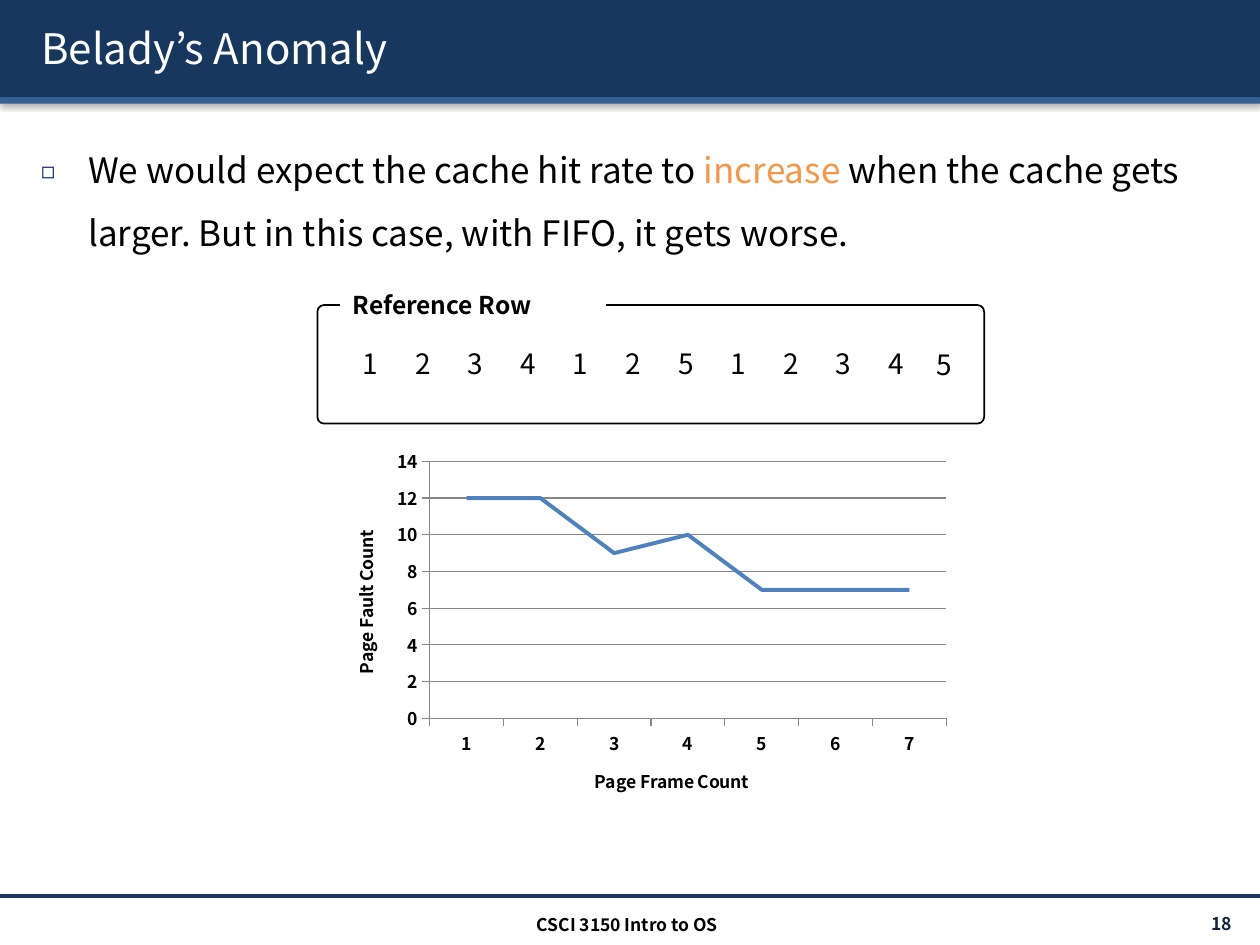
import pptx
import pptx.chart.data
import pptx.dml.color
import pptx.enum.chart
import pptx.enum.shapes
import pptx.enum.text
import pptx.oxml
import pptx.util
from pptx.util import Cm

FONT = "Noto Sans CJK KR"
NAVY, BLUE, BLACK, WHITE = "17375E", "376092", "000000", "FFFFFF"
ALIGN = pptx.enum.text.PP_ALIGN
ANCHOR = pptx.enum.text.MSO_ANCHOR
SHAPE = pptx.enum.shapes.MSO_SHAPE
DRAWING = 'xmlns:a="http://schemas.openxmlformats.org/drawingml/2006/main"'
CHART = 'xmlns:c="http://schemas.openxmlformats.org/drawingml/2006/chart"'


def colour(value):
    """Return the colour object for a hex string."""
    return pptx.dml.color.RGBColor.from_string(value)


def set_all(target, values):
    """Set each attribute named in a dict."""
    for name, value in values.items():
        setattr(target, name, value)


def set_font(font, size, tint=BLACK, bold=False):
    """Give a font its face, size, weight and colour."""
    set_all(font, {"name": FONT, "size": pptx.util.Pt(size), "bold": bold})
    font.color.rgb = colour(tint)


def shadow_xml(blur, distance, direction, alpha):
    """Build an effect list with one outer shadow."""
    return pptx.oxml.parse_xml(
        f'<a:effectLst {DRAWING}><a:outerShdw blurRad="{pptx.util.Pt(blur)}" '
        f'dist="{pptx.util.Pt(distance)}" dir="{direction * 60000}" algn="t" rotWithShape="0">'
        f'<a:srgbClr val="{BLACK}"><a:alpha val="{alpha * 1000}"/></a:srgbClr>'
        '</a:outerShdw></a:effectLst>')


def write(box, spans, size, bold=False, align=ALIGN.LEFT, anchor=ANCHOR.TOP, side=0.25):
    """Write coloured spans as the only paragraph of a box."""
    set_all(box.text_frame, {
        "word_wrap": True, "auto_size": pptx.enum.text.MSO_AUTO_SIZE.NONE,
        "vertical_anchor": anchor, "margin_left": Cm(side), "margin_right": Cm(side),
        "margin_top": Cm(0.13), "margin_bottom": Cm(0.13)})
    para = box.text_frame.paragraphs[0]
    para.alignment = align
    for text, tint in spans:
        span = para.add_run()
        span.text = text
        set_font(span.font, size, tint, bold)
    return para


def add_text(page, place, spans, size, **layout):
    """Add a text box and return its paragraph."""
    box = page.shapes.add_textbox(*map(Cm, place))
    return write(box, spans, size, **layout)


def add_panel(page, kind, place, fill, line=None):
    """Add a flat filled shape with an optional outline."""
    panel = page.shapes.add_shape(kind, *map(Cm, place))
    panel.shadow.inherit = False
    panel.fill.solid()
    panel.fill.fore_color.rgb = colour(fill)
    if line:
        panel.line.color.rgb = colour(line)
        panel.line.width = pptx.util.Pt(1)
    else:
        panel.line.fill.background()
    return panel


def add_frame(page):
    """Draw the header bands, the footer rule and the footer texts."""
    for top, height, fill in ((0, 1.96, NAVY), (1.96, 0.13, BLUE)):
        band = add_panel(page, SHAPE.RECTANGLE, (0, top, 25.4, height), fill)
        properties = band._element.spPr
        properties.remove(properties.find(pptx.oxml.ns.qn("a:effectLst")))
        properties.append(shadow_xml(3.1, 1.6, 90, 38))
    rule = page.shapes.add_connector(
        pptx.enum.shapes.MSO_CONNECTOR.STRAIGHT, Cm(0), Cm(18.06), Cm(25.4), Cm(18.06))
    rule.line.color.rgb = colour(NAVY)
    rule.line.width = pptx.util.Pt(2)
    rule._element.spPr.append(pptx.oxml.parse_xml(f"<a:effectLst {DRAWING}/>"))
    add_text(page, (22.12, 18.31, 2.97, 0.61), [("18", "0F243E")], 10,
             bold=True, align=ALIGN.RIGHT, anchor=ANCHOR.MIDDLE)
    add_text(page, (8.43, 18.29, 8.43, 0.61), [("CSCI 3150 Intro to OS", BLACK)], 10,
             bold=True, align=ALIGN.CENTER)


def add_title(page, text):
    """Place the title over the header band with a text shadow."""
    title = page.shapes.title
    set_all(title, {"left": Cm(0.58), "top": Cm(0.15), "width": Cm(24.41), "height": Cm(1.63)})
    para = write(title, [(text, WHITE)], 24, anchor=ANCHOR.MIDDLE)
    fill = para.runs[0].font._element.find(pptx.oxml.ns.qn("a:solidFill"))
    fill.addnext(shadow_xml(3, 2, 45, 100))
    page.shapes._spTree.append(title._element)


def add_bullet(page, place, spans):
    """Add a body paragraph with a hanging square bullet."""
    para = add_text(page, place, spans, 20)
    para.line_spacing = 1.5
    properties = para._p.get_or_add_pPr()
    properties.set("marL", str(Cm(0.95)))
    properties.set("indent", str(-Cm(0.95)))
    for bullet in ('<a:buClr {}><a:srgbClr val="002060"/></a:buClr>',
                   '<a:buSzPct {} val="65000"/>',
                   f'<a:buFont {{}} typeface="{FONT}"/>',
                   '<a:buChar {} char="◻"/>'):
        properties.append(pptx.oxml.parse_xml(bullet.format(DRAWING)))


def add_reference_row(page, numbers):
    """Draw the captioned frame with the page numbers in one row."""
    frame = add_panel(page, SHAPE.ROUNDED_RECTANGLE, (6.4, 6.15, 13.44, 2.39), WHITE, BLACK)
    frame.adjustments[0] = 0.056
    caption = add_panel(page, SHAPE.RECTANGLE, (6.86, 5.72, 5.36, 0.86), WHITE)
    write(caption, [("Reference Row", BLACK)], 14, bold=True)
    last = len(numbers) - 1
    for index, number in enumerate(numbers):
        left, top = (18.44, 6.88) if index == last else (6.86 + 1.06 * index, 6.86)
        add_text(page, (left, top, 1.21, 0.94), [(number, BLACK)], 16,
                 align=ALIGN.CENTER, anchor=ANCHOR.MIDDLE, side=0)


def format_axis(axis, title):
    """Give an axis its title, ticks, line and font."""
    axis.axis_title.text_frame.text = title
    set_font(axis.axis_title.text_frame.paragraphs[0].runs[0].font, 10, bold=True)
    set_font(axis.tick_labels.font, 10, bold=True)
    axis.major_tick_mark = pptx.enum.chart.XL_TICK_MARK.OUTSIDE
    axis.format.line.color.rgb = colour("878787")


def add_fault_chart(page, place, faults):
    """Add the line chart of page faults per frame count."""
    table = pptx.chart.data.CategoryChartData()
    table.categories = [str(count + 1) for count in range(len(faults))]
    table.add_series("Series 1", faults)
    kind = pptx.enum.chart.XL_CHART_TYPE.LINE
    chart = page.shapes.add_chart(kind, *map(Cm, place), table).chart
    set_all(chart, {"has_legend": False, "has_title": False})
    set_font(chart.font, 10)
    format_axis(chart.category_axis, "Page Frame Count")
    format_axis(chart.value_axis, "Page Fault Count")
    set_all(chart.value_axis, {"minimum_scale": 0, "maximum_scale": 14, "major_unit": 2,
                               "has_major_gridlines": True})
    chart.value_axis.major_gridlines.format.line.color.rgb = colour("878787")
    plot = chart.plots[0]
    plot.vary_by_categories = False
    series = plot.series[0]
    series.smooth = False
    series.marker.style = pptx.enum.chart.XL_MARKER_STYLE.NONE
    series.format.line.color.rgb = colour("4F81BD")
    series.format.line.width = pptx.util.Pt(2.25)
    area = chart._chartSpace.chart.plotArea
    for old in area.findall(pptx.oxml.ns.qn("c:layout")):
        area.remove(old)
    sizes = {"x": 0.16, "y": 0.05, "w": 0.82, "h": 0.68}
    area.insert(0, pptx.oxml.parse_xml(
        f'<c:layout {CHART}><c:manualLayout><c:layoutTarget val="inner"/>'
        '<c:xMode val="edge"/><c:yMode val="edge"/>'
        + "".join(f'<c:{name} val="{size}"/>' for name, size in sizes.items())
        + "</c:manualLayout></c:layout>"))


def main():
    """Build and save the slide."""
    deck = pptx.Presentation()
    set_all(deck, {"slide_width": Cm(25.4), "slide_height": Cm(19.05)})
    page = deck.slides.add_slide(deck.slide_layouts[5])
    add_frame(page)
    add_title(page, "Belady’s Anomaly")
    add_bullet(page, (0.58, 2.44, 24.41, 15.29), [
        ("We would expect the cache hit rate to ", BLACK),
        ("increase", "F79646"),
        (" when the cache gets larger. But in this case, with FIFO, it gets worse.", BLACK)])
    add_fault_chart(page, (6.63, 8.92, 12.7, 7.62), (12, 12, 9, 10, 7, 7, 7))
    add_reference_row(page, "123412512345")
    deck.save("out.pptx")


if __name__ == "__main__":
    main()
